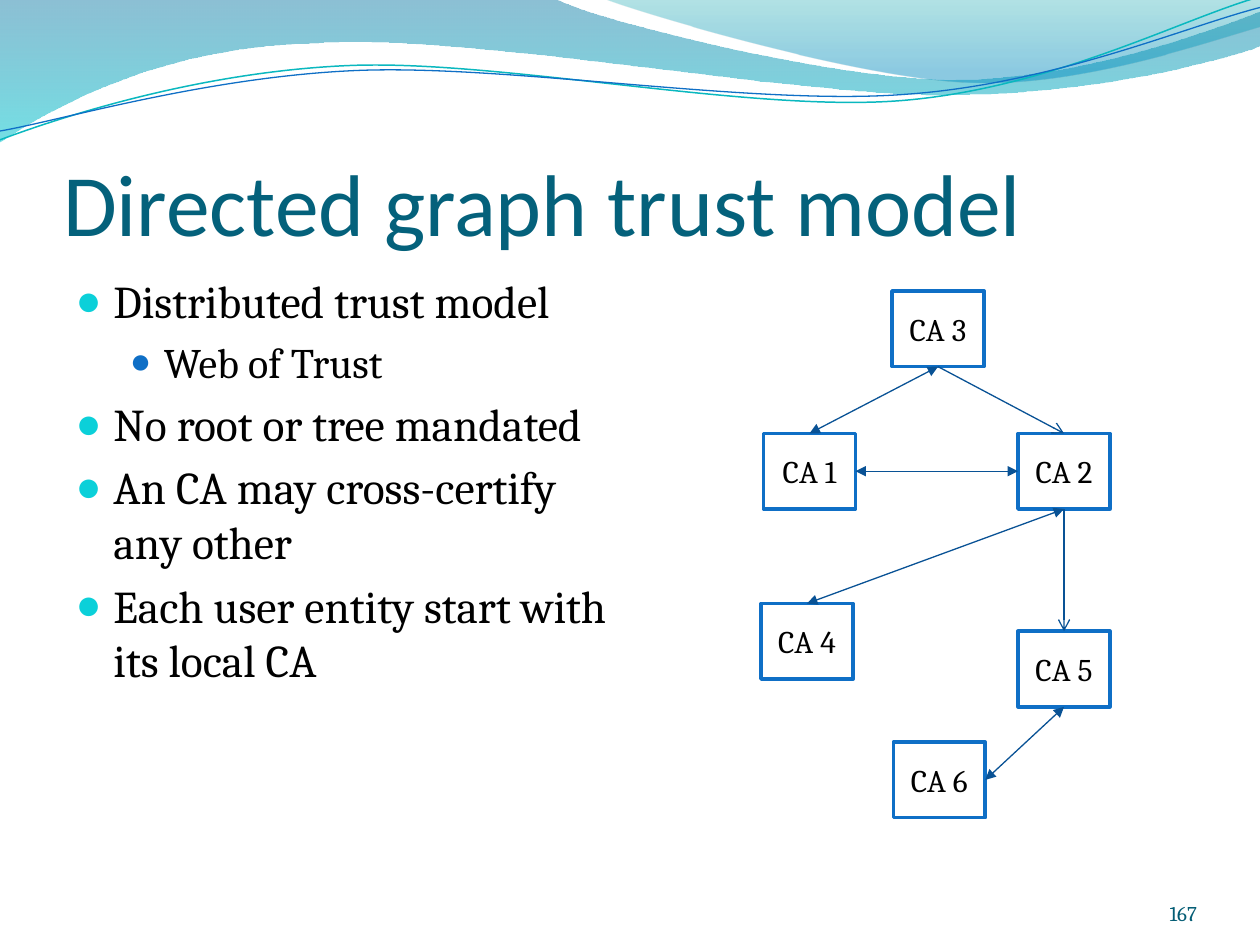
"""Build the slide on the directed graph trust model."""
import math
import pptx
import pptx.util
import pptx.dml.color
import pptx.enum.shapes
import pptx.enum.text
import pptx.oxml
import pptx.oxml.ns
import lxml.etree

Inches, Pt = pptx.util.Inches, pptx.util.Pt
qn = pptx.oxml.ns.qn
text = pptx.enum.text


def tint(code):
    return pptx.dml.color.RGBColor.from_string(code)


def write(para, words, size, face, code):
    run = para.add_run()
    run.text = words
    run.font.size = Pt(size)
    run.font.name = face
    run.font.color.rgb = tint(code)


deck = pptx.Presentation()
deck.slide_width, deck.slide_height = Inches(10), Inches(7.5)
slide = deck.slides.add_slide(deck.slide_layouts[1])
shapes = slide.shapes

waves = [
    ([(0, 0), (4.4, -0.01),
      (4.76, 0.17), (6.64, 0.63), (7.58, 0.63),
      (8.53, 0.63), (9.58, 0.26), (10, 0.09), (10.01, 0.36),
      (9.83, 0.44), (8.7, 0.76), (7.46, 0.75),
      (6.22, 0.75), (3.82, 0.28), (2.57, 0.34),
      (1.29, 0.36), (0.46, 0.83), (-0.01, 1.13), (0, 0)],
     "LCCLCCCL", [(0, "0074A1", 45), (1, "00C6CF", 55)], None),
    ([(4.79, -0.01), (5.09, 0.11), (6.82, 0.62), (7.69, 0.65),
      (8.56, 0.69), (9.61, 0.32), (10, 0.21), (10, 0), (4.79, -0.01)],
     "CCLL", [(0, "00A1A9", 30), (0.8, "008BBF", 45)], None),
    ([(0, 1.11), (0.48, 0.93), (1.58, 0.57), (2.77, 0.52),
      (3.95, 0.47), (5.93, 0.89), (7.13, 0.8),
      (8.33, 0.71), (9.38, 0.15), (9.98, -0.02)],
     "CCC", None, ("0AB8BF", 0.85, 4.99, 0.57)),
    ([(0, 1.04), (0.47, 0.96), (1.64, 0.61), (2.83, 0.56),
      (4.03, 0.51), (5.97, 0.84), (7.17, 0.75),
      (8.36, 0.67), (9.41, 0.21), (10, 0.06)],
     "CCC", None, ("0F6FC6", 0.75, 5, 0.59)),
]
tilt = 2.7
sin, cos = math.sin(math.radians(tilt)), math.cos(math.radians(tilt))
for knots, kinds, stops, edge in waves:
    if edge:
        code, weight, mid, axis = edge
        knots = [(mid + (x - mid) * cos - (y - axis) * sin,
                  axis + (x - mid) * sin + (y - axis) * cos) for x, y in knots]
    ends = [(Inches(x), Inches(y)) for x, y in knots]
    pen = shapes.build_freeform(*ends[0])
    pen.add_line_segments(ends[1:], close=stops is not None)
    wave = pen.convert_to_shape()
    wave.shadow.inherit = False

    route = next(wave.element.iter(qn("a:path")))
    legs = iter(list(route)[1:])
    for kind in kinds:
        leg = next(legs)
        if kind == "C":
            curve = lxml.etree.Element(qn("a:cubicBezTo"))
            leg.addprevious(curve)
            for part in (leg, next(legs), next(legs)):
                curve.append(part[0])
                route.remove(part)

    if stops:
        wave.fill.gradient()
        wave.fill.gradient_angle = 270
        for stop, (place, code, _) in zip(wave.fill.gradient_stops, stops):
            stop.position = place
            stop.color.rgb = tint(code)
        for node, (_, _, alpha) in zip(wave.element.iter(qn("a:srgbClr")), stops):
            lxml.etree.SubElement(node, qn("a:alpha"), val=str(alpha * 1000))
        wave.line.fill.background()
    else:
        wave.rotation = 360 - tilt
        wave.fill.background()
        wave.line.color.rgb = tint(code)
        wave.line.width = Pt(weight)

title = shapes.title
title.left, title.top, title.width, title.height = map(Inches, (0.5, 0.77, 9, 1.25))
frame = title.text_frame
frame.auto_size = text.MSO_AUTO_SIZE.NONE
frame.vertical_anchor = text.MSO_ANCHOR.BOTTOM
frame.margin_left = frame.margin_right = frame.margin_bottom = 0
frame.margin_top = Inches(0.05)
frame.paragraphs[0].alignment = text.PP_ALIGN.LEFT
write(frame.paragraphs[0], "Directed graph trust model", 50, "Calibri", "04617B")

body = slide.placeholders[1]
body.left, body.top, body.width, body.height = map(Inches, (0.5, 2.12, 4.5, 4.8))
frame = body.text_frame
frame.auto_size = text.MSO_AUTO_SIZE.NONE
points = [
    (0, "Distributed trust model"),
    (1, "Web of Trust"),
    (0, "No root or tree mandated"),
    (0, "An CA may cross-certify any other"),
    (0, "Each user entity start with its local CA"),
]
looks = [(0.3, -0.3, "0BD0D9", 95, 26), (0.7, -0.27, "0F6FC6", 85, 24)]
for rank, (level, words) in enumerate(points):
    para = frame.paragraphs[0] if rank == 0 else frame.add_paragraph()
    left, hang, code, scale, size = looks[level]
    props = para._p.get_or_add_pPr()
    props.set("marL", str(Inches(left)))
    props.set("indent", str(Inches(hang)))
    color = lxml.etree.SubElement(props, qn("a:buClr"))
    lxml.etree.SubElement(color, qn("a:srgbClr"), val=code)
    lxml.etree.SubElement(props, qn("a:buSzPct"), val=str(scale * 1000))
    lxml.etree.SubElement(props, qn("a:buChar"), char="●")
    para.level = level
    write(para, words, size, "Cambria", "000000")
frame.paragraphs[0].space_before = Pt(0)

number = shapes.add_textbox(Inches(8.67), Inches(6.95), Inches(0.83), Inches(0.4))
frame = number.text_frame
frame.word_wrap = True
frame.vertical_anchor = text.MSO_ANCHOR.BOTTOM
frame.margin_left = frame.margin_right = frame.margin_top = frame.margin_bottom = 0
frame.paragraphs[0].alignment = text.PP_ALIGN.RIGHT
write(frame.paragraphs[0], "167", 12, "Cambria", "045D75")

nodes = {}
spots = {3: (7.08, 2.31), 1: (6.06, 3.44), 2: (8.08, 3.44),
         6: (7.09, 5.89), 4: (6.04, 4.79), 5: (8.08, 5.01)}
for key, (x, y) in spots.items():
    node = shapes.add_shape(pptx.enum.shapes.MSO_SHAPE.RECTANGLE,
                            Inches(x), Inches(y), Inches(0.73), Inches(0.6))
    node.shadow.inherit = False
    node.fill.solid()
    node.fill.fore_color.rgb = tint("FFFFFF")
    node.line.color.rgb = tint("0F6FC6")
    node.line.width = Pt(2)
    frame = node.text_frame
    frame.vertical_anchor = text.MSO_ANCHOR.MIDDLE
    frame.paragraphs[0].alignment = text.PP_ALIGN.CENTER
    write(frame.paragraphs[0], f"CA {key}", 18, "Cambria", "000000")
    nodes[key] = node

top, left, bottom, right = range(4)
links = [
    (3, bottom, 1, top, True),
    (3, bottom, 2, top, False),
    (2, left, 1, right, True),
    (6, right, 5, bottom, True),
    (2, bottom, 4, top, True),
    (2, bottom, 5, top, False),
]
for start, side, end, face, both in links:
    link = shapes.add_connector(pptx.enum.shapes.MSO_CONNECTOR.STRAIGHT, 0, 0, 0, 0)
    link.begin_connect(nodes[start], side)
    link.end_connect(nodes[end], face)
    link.line.color.rgb = tint("095295")
    link.line.width = Pt(0.75)
    line = link.line._get_or_add_ln()
    if both:
        lxml.etree.SubElement(line, qn("a:headEnd"), type="triangle")
    lxml.etree.SubElement(line, qn("a:tailEnd"), type="triangle" if both else "arrow")
    lxml.etree.SubElement(link.element.spPr, qn("a:effectLst"))

deck.save("out.pptx")
